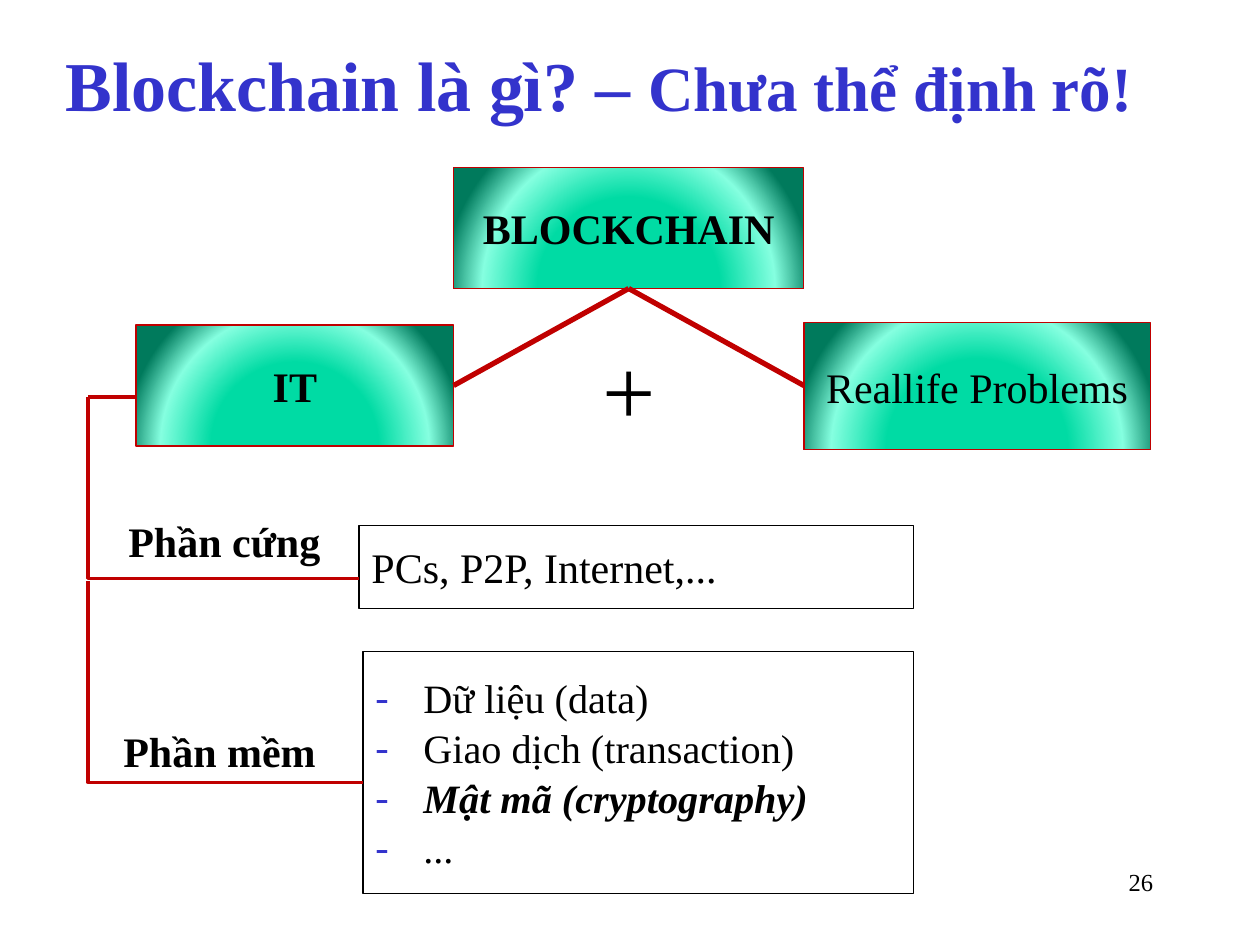
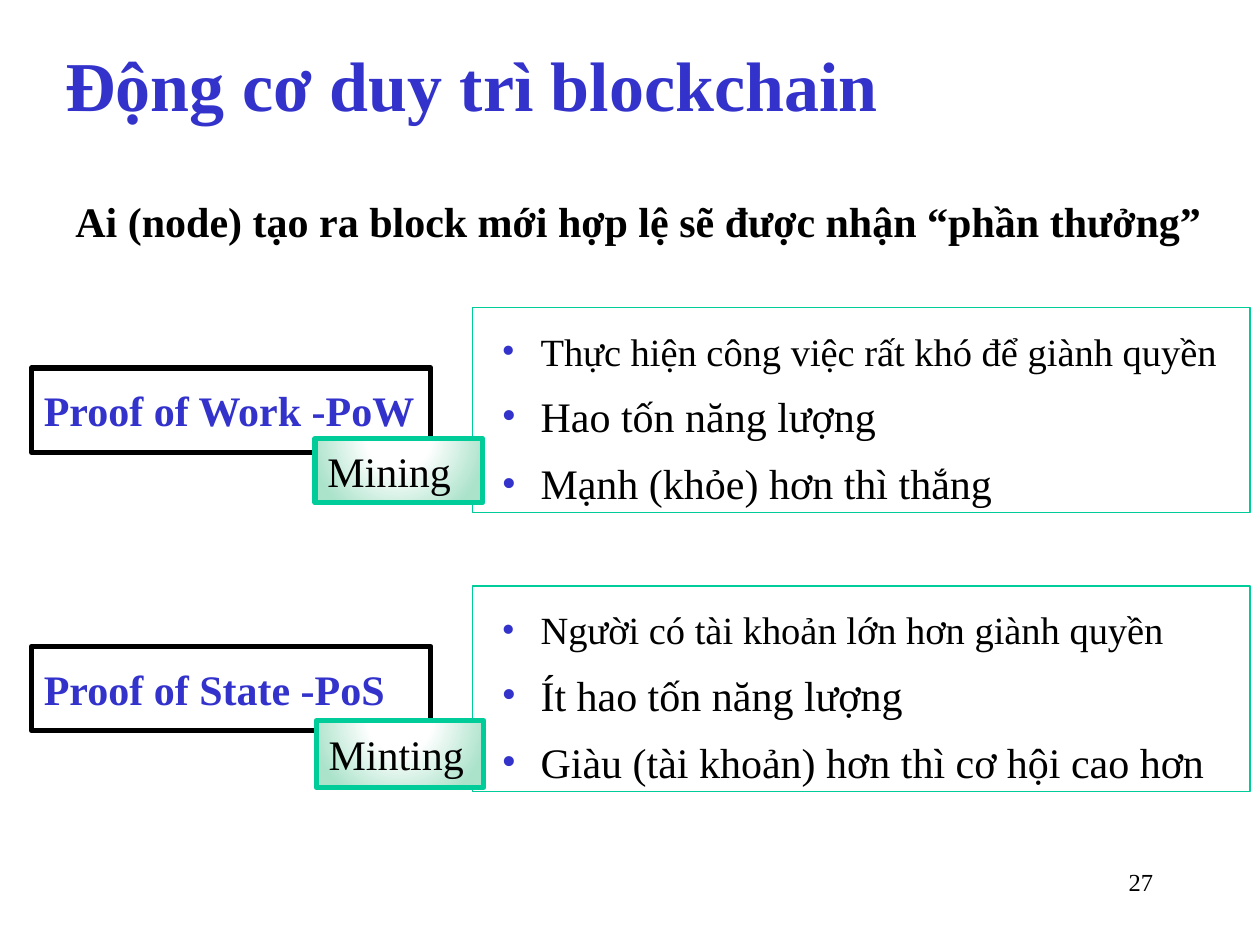
from pptx import Presentation
from pptx.dml.color import RGBColor as Rgb
from pptx.enum.shapes import MSO_CONNECTOR as Link, MSO_SHAPE as Kind
from pptx.enum.text import MSO_ANCHOR as Anchor, MSO_AUTO_SIZE as Auto, PP_ALIGN as Align
from pptx.oxml import parse_xml
from pptx.oxml.ns import nsdecls
from pptx.util import Inches, Pt

FONT = "Times New Roman"
HUES = {"ink": "000000", "blue": "3333CC", "red": "C00000", "mint": "00CC99",
        "green": "00DBA4", "aqua": "85FFE0", "deep": "007A5C",
        "white": "FFFFFF", "pale": "AAE2CA"}

# Radial fills: stops as (percent, colour), then the top of the centre point
NODE = ([(49, "green"), (79, "aqua"), (100, "deep")], 130)
TAG = ([(0, "white"), (35, "white"), (100, "pale")], -80)


def hue(name):
    return Rgb.from_string(HUES[name])


def xml(body):
    """Make one drawing element from its tag, attributes and content."""
    tag, rest = body.split(" ", 1)
    return parse_xml(f"<a:{tag} {nsdecls('a')} {rest}")


class Deck:
    def __init__(self):
        self.prs = Presentation()
        self.prs.slide_width, self.prs.slide_height = Inches(10), Inches(7.5)
        self.slide = None

    def page(self, layout, num, *title):
        """Start a slide with its title and page number."""
        self.slide = self.prs.slides.add_slide(self.prs.slide_layouts[layout])
        head = self.slide.shapes.title
        self.place(head, (0.42, 0.25, 8.83, 0.83))
        self.label(head, [title], size=40, color="blue", bold=True)
        self.text((7.17, 6.83, 2.08, 0.5), num, size=14, align=Align.RIGHT,
                  anchor=Anchor.TOP)

    def place(self, shape, at):
        for key, val in zip(("left", "top", "width", "height"), at):
            setattr(shape, key, Inches(val))

    def label(self, shape, paras, size=24, color="ink", align=Align.LEFT,
              anchor=Anchor.MIDDLE, wrap=True, **font):
        """Fill a shape; a paragraph is a list of (text, font changes)."""
        frame = shape.text_frame
        look = {"auto_size": Auto.NONE, "word_wrap": wrap, "vertical_anchor": anchor}
        for key, val in look.items():
            setattr(frame, key, val)
        for i, runs in enumerate(paras):
            para = frame.add_paragraph() if i else frame.paragraphs[0]
            para.alignment = align
            for words, extra in runs:
                run = para.add_run()
                run.text = words
                run.font.color.rgb = hue(color)
                style = {"name": FONT, "size": size, "bold": False, **font, **extra}
                style["size"] = Pt(style["size"])
                for key, val in style.items():
                    setattr(run.font, key, val)

    def text(self, at, words, **style):
        box = self.slide.shapes.add_textbox(*map(Inches, at))
        self.label(box, [[(words, {})]], **style)

    def border(self, shape, color, width):
        shape.line.color.rgb = hue(color)
        shape.line.width = Pt(width)

    def box(self, at, words, line="ink", width=0.75, fill=None, **style):
        shape = self.slide.shapes.add_shape(Kind.RECTANGLE, *map(Inches, at))
        shape.shadow.inherit = False
        shape.fill.background()
        if fill:
            self.glow(shape, *fill)
        self.border(shape, line, width)
        self.label(shape, [[(words, {})]], **style)

    def glow(self, shape, stops, top):
        """Swap the empty fill for a radial gradient."""
        marks = "".join(f'<a:gs pos="{pos * 1000}"><a:srgbClr val="{HUES[name]}"/></a:gs>'
                        for pos, name in stops)
        grad = xml(f'gradFill rotWithShape="1"><a:gsLst>{marks}</a:gsLst>'
                   f'<a:path path="circle"><a:fillToRect l="50000" t="{top * 1000}" '
                   f'r="50000" b="{(100 - top) * 1000}"/></a:path></a:gradFill>')
        props = shape.element.spPr
        props.replace(props.find("{*}noFill"), grad)

    def list(self, idx, at, items, mark, indent, hang, line, space=1.0, **style):
        """Format a body placeholder as a framed, bulleted list."""
        body = self.slide.placeholders[idx]
        self.place(body, at)
        self.border(body, line, 0.75)
        self.label(body, [[item] for item in items], **style)
        for para in body.text_frame.paragraphs:
            para.line_spacing, para.space_before = space, Pt(1)
            props = para._p.get_or_add_pPr()
            props.set("marL", str(Inches(indent)))
            props.set("indent", str(-Inches(hang)))
            props.append(xml(f'buClr ><a:srgbClr val="{HUES["blue"]}"/></a:buClr>'))
            props.append(xml(f'buFont typeface="{FONT}"/>'))
            props.append(xml(f'buChar char="{mark}"/>'))

    def link(self, start, end, width, bent=False):
        kind = Link.ELBOW if bent else Link.STRAIGHT
        line = self.slide.shapes.add_connector(kind, *map(Inches, start + end))
        self.border(line, "red", width)
        props = line.element.spPr
        props.append(xml("effectLst />"))
        if bent:  # turn at the very start
            props.find(".//{*}avLst").append(xml('gd name="adj1" fmla="val 0"/>'))


def parts(deck):
    deck.page(1, "26", ("Blockchain là gì? – ", {}), ("Chưa thể định rõ!", {"size": 36}))
    deck.text((4.68, 2.58, 0.63, 1.01), "+", size=54, align=Align.CENTER,
              anchor=Anchor.TOP, wrap=False)

    # Top node and its two branches
    for at, words, bold in [((3.6, 1.33, 2.78, 0.96), "BLOCKCHAIN", True),
                            ((1.08, 2.58, 2.52, 0.96), "IT", True),
                            ((6.38, 2.56, 2.75, 1.01), "Reallife Problems", False)]:
        deck.box(at, words, "red", fill=NODE, bold=bold, align=Align.CENTER, wrap=False)
    for side in (3.6, 6.38):
        deck.link((4.99, 2.29), (side, 3.06), 3)

    # Hardware and software under IT
    deck.box((2.85, 4.17, 4.4, 0.66), "PCs, P2P, Internet,...")
    deck.list(1, (2.88, 5.17, 4.37, 1.92),
              [("Dữ liệu (data)", {}), ("Giao dịch (transaction)", {}),
               ("Mật mã (cryptography)", {"bold": True, "italic": True}), ("...", {})],
              "-", 0.38, 0.38, "ink", size=23)
    deck.link((0.7, 3.15), (1.08, 3.15), 2)
    deck.link((0.7, 3.15), (2.85, 4.59), 2, bent=True)
    deck.link((0.7, 4.61), (2.88, 6.21), 2, bent=True)
    for left, top, words in [(0.92, 4.01, "Phần cứng"), (0.88, 5.67, "Phần mềm")]:
        deck.text((left, top, 1.75, 0.57), words, bold=True, wrap=False)


def proofs(deck):
    deck.page(3, "27", ("Động cơ duy trì blockchain", {}))
    deck.text((0.5, 1.5, 9.25, 0.5),
              "Ai (node) tạo ra block mới hợp lệ sẽ được nhận “phần thưởng”",
              bold=True, anchor=Anchor.TOP)

    # One row per proof: name, traits and the tag over both
    rows = [("Proof of Work -PoW", "Mining", (2.5, 3.48, 1.33, 0.51),
             ["Thực hiện công việc rất khó để giành quyền", "Hao tốn năng lượng",
              "Mạnh (khỏe) hơn thì thắng"]),
            ("Proof of State -PoS", "Minting", (2.51, 5.72, 1.33, 0.53),
             ["Người có tài khoản lớn hơn giành quyền", "Ít hao tốn năng lượng",
              "Giàu (tài khoản) hơn thì cơ hội cao hơn"])]
    for i, (name, tag, spot, traits) in enumerate(rows):
        top = 2.44 + 2.21 * i
        deck.list(i + 1, (3.75, top, 6.17, 1.63),
                  [(words, {"size": 24 if j else 22}) for j, words in enumerate(traits)],
                  "•", 0.44, 0.31, "mint", space=1.3, anchor=Anchor.TOP)
        deck.box((0.25, top + 0.48, 3.17, 0.67), name, width=3, color="blue", bold=True)
        deck.box(spot, tag, "mint", 3, TAG)


def main():
    deck = Deck()
    parts(deck)
    proofs(deck)
    deck.prs.save("out.pptx")


if __name__ == "__main__":
    main()
